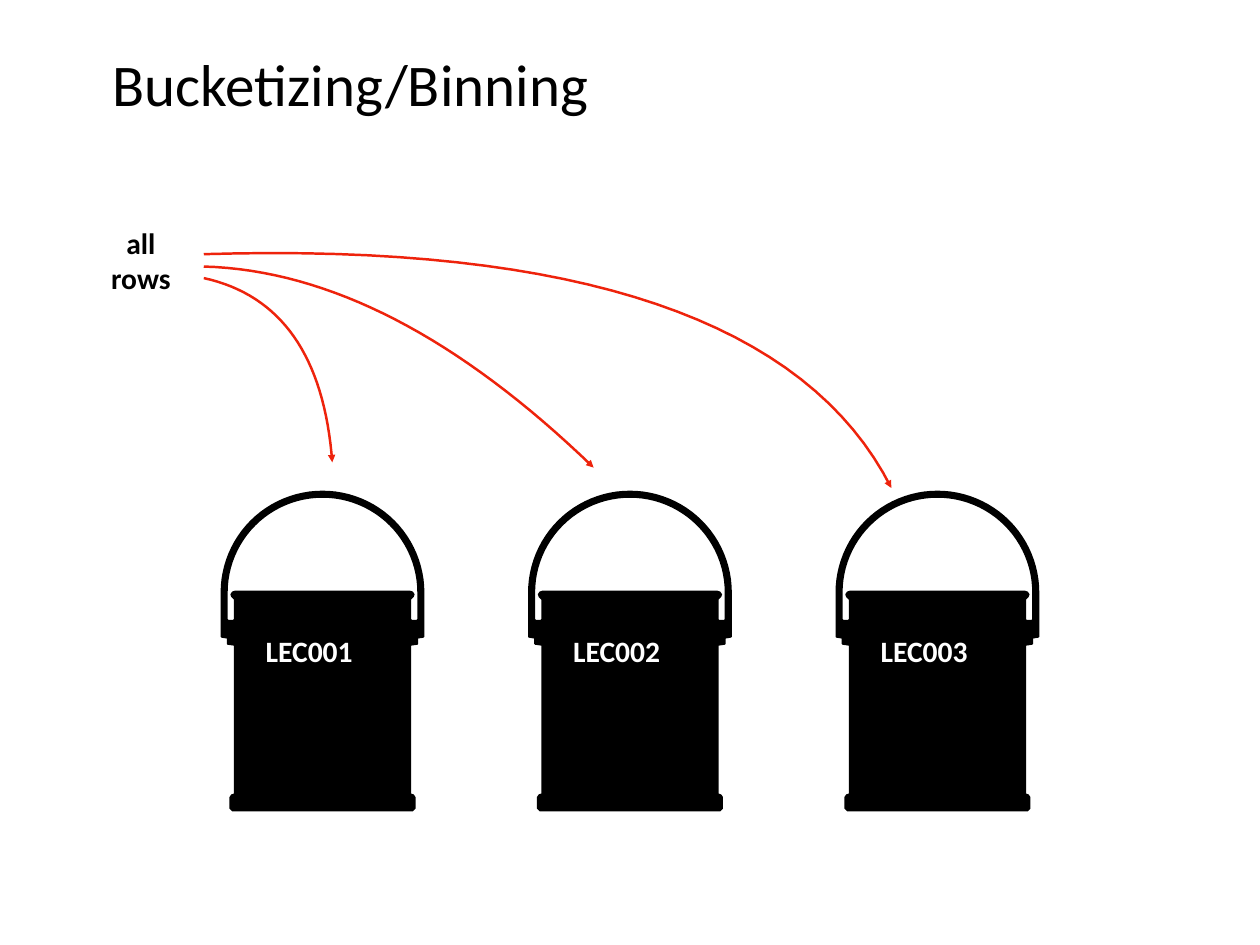
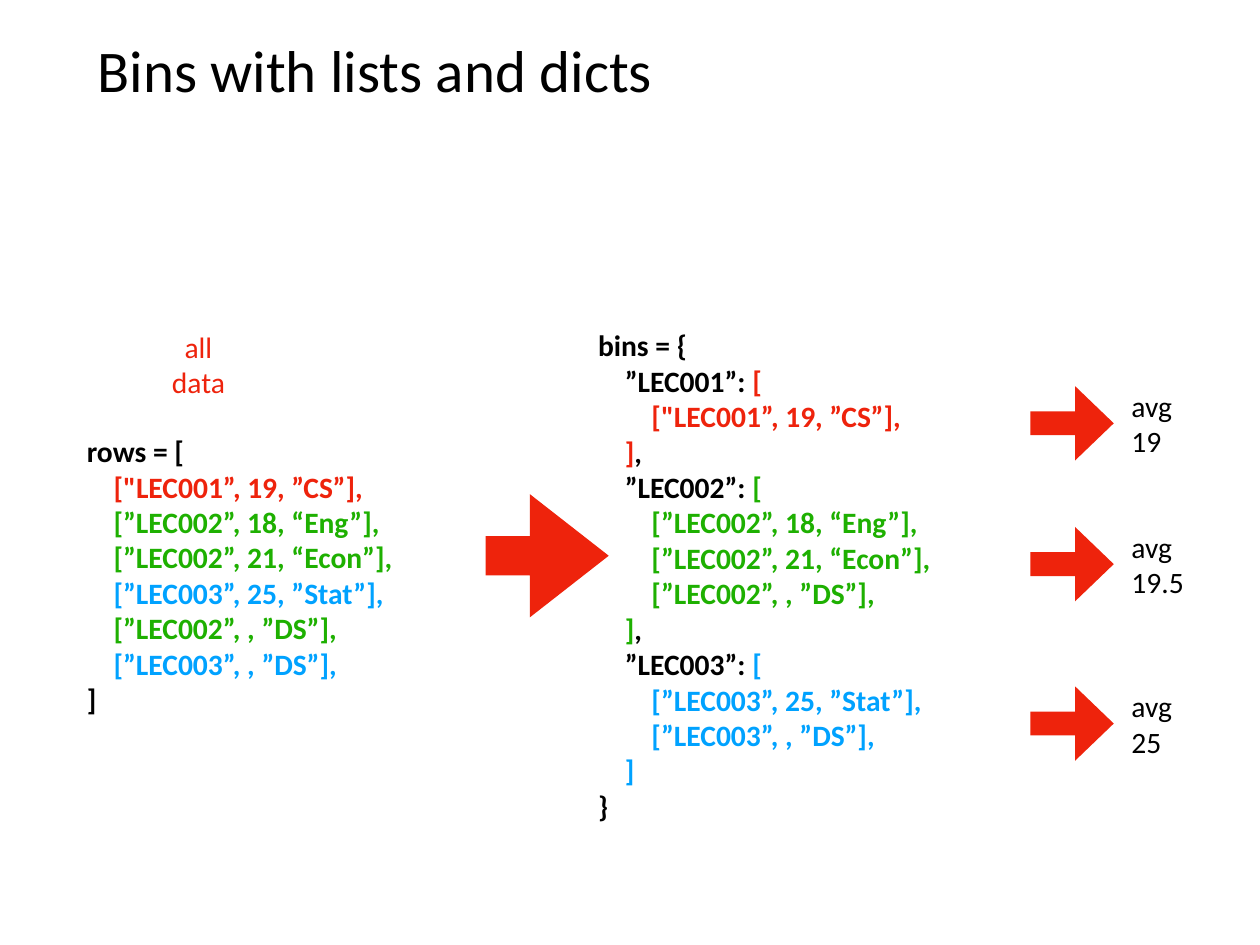
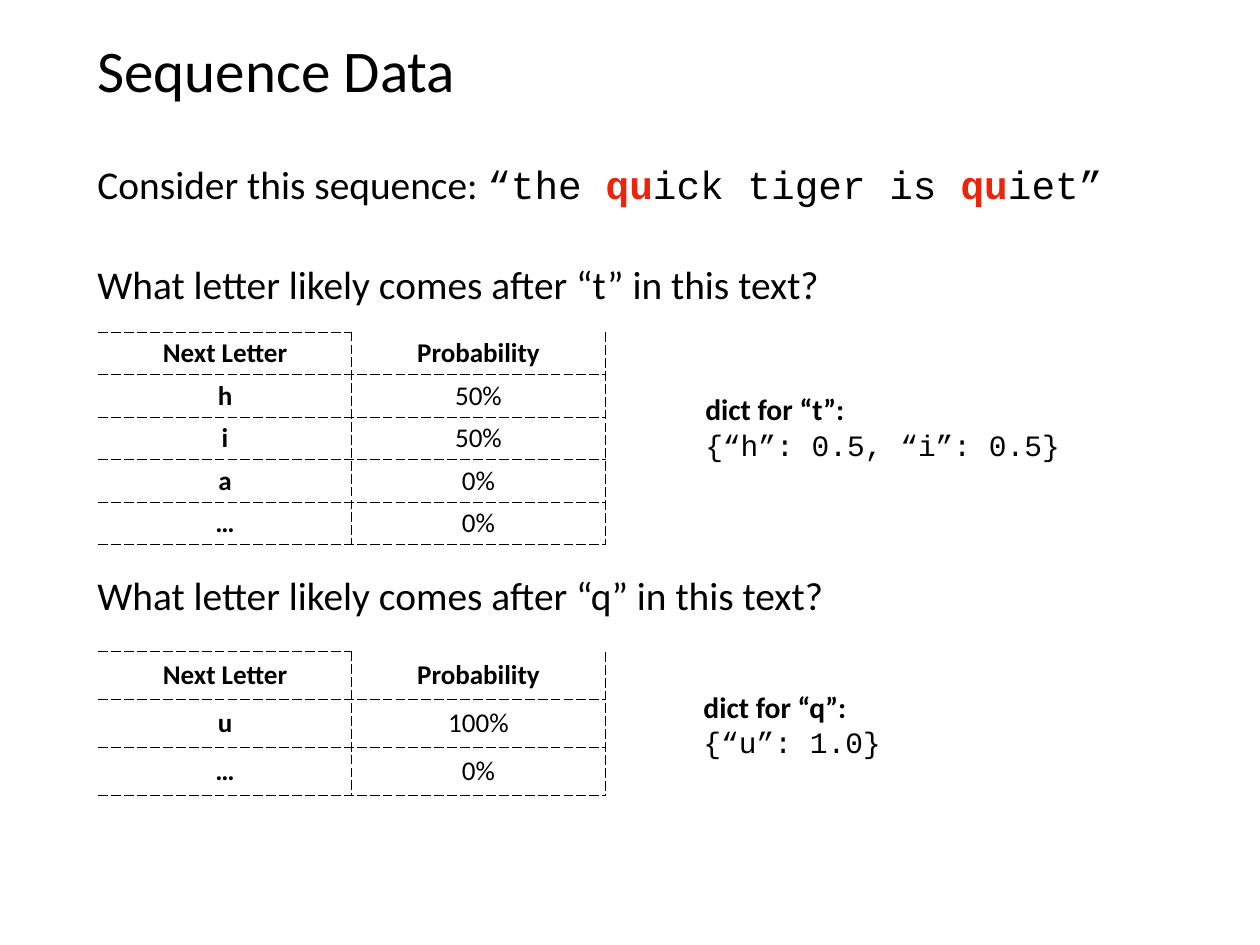
from dataclasses import dataclass
from math import cos, pi, sin
from typing import NamedTuple

from lxml import etree
from pptx import Presentation
from pptx.dml.color import RGBColor
from pptx.enum import shapes, text
from pptx.oxml import ns
from pptx.util import Inches, Pt

# Shared look
BLACK = RGBColor(0x00, 0x00, 0x00)
WHITE = RGBColor(0xFF, 0xFF, 0xFF)
RED = RGBColor(0xEE, 0x23, 0x0C)
GREEN = RGBColor(0x1E, 0xB0, 0x01)
BLUE = RGBColor(0x00, 0xA2, 0xFF)
SANS, MONO = "Calibri", "Courier New"
PAD = Inches(0.06)
LEFT, CENTER = text.PP_ALIGN.LEFT, text.PP_ALIGN.CENTER

Point = tuple[float, float]


class Box(NamedTuple):
    left: float
    top: float
    width: float
    height: float

    def emu(self) -> list:
        return [Inches(side) for side in self]


class Run(NamedTuple):
    words: str
    color: RGBColor = BLACK
    bold: bool = False
    face: str = SANS


@dataclass
class Curve:
    start: Point
    pull: Point
    push: Point
    end: Point


@dataclass
class Quiz:
    letter: str
    top: float
    grid: float
    row: float
    odds: list[tuple[str, str]]
    note: Box
    code: str


# Text
def style(font, run: Run) -> None:
    font.name, font.bold = run.face, run.bold
    font.color.rgb = run.color


def write(frame, lines: list[list[Run]], size: int, align=LEFT) -> None:
    for i, runs in enumerate(lines):
        para = frame.paragraphs[0] if i == 0 else frame.add_paragraph()
        para.alignment = align
        para.font.size = Pt(size)
        same = len({run[1:] for run in runs}) == 1
        if same:
            style(para.font, runs[0])
        for run in runs:
            part = para.add_run()
            part.text = run.words
            if not same:
                style(part.font, run)


def label(slide, box: Box, lines: list[list[Run]], size: int = 24, align=LEFT) -> None:
    frame = slide.shapes.add_textbox(*box.emu()).text_frame
    frame.word_wrap = True
    frame.vertical_anchor = text.MSO_ANCHOR.MIDDLE
    frame.margin_left = frame.margin_right = PAD
    frame.margin_top = frame.margin_bottom = PAD
    write(frame, lines, size, align)


def page(deck, title: str, left: float = 1.04, top: float = 0.28):
    slide = deck.slides.add_slide(deck.slide_layouts[6])
    label(slide, Box(left, top, 12.14, 0.99), [[Run(title)]], 48)
    return slide


# Shapes
def paint(shape, color: RGBColor) -> None:
    shape.shadow.inherit = False
    shape.fill.solid()
    shape.fill.fore_color.rgb = color
    shape.line.fill.background()


def arrow(slide, box: Box, neck: float, head: float) -> None:
    shape = slide.shapes.add_shape(shapes.MSO_SHAPE.RIGHT_ARROW, *box.emu())
    shape.adjustments[0], shape.adjustments[1] = neck, head
    paint(shape, RED)


def trace(slide, paths: list[list[Point]], close: bool):
    spots = [[(Inches(x), Inches(y)) for x, y in path] for path in paths]
    pen = slide.shapes.build_freeform(*spots[0][0], scale=1.0)
    for i, path in enumerate(spots):
        if i:
            pen.move_to(*path[0])
        pen.add_line_segments(path[1:], close=close)
    return pen.convert_to_shape()


def bucket(slide, mid: float) -> None:
    def ring(size: float, side: list[Point]) -> list[Point]:
        turns = [pi / 2 * i / 24 for i in range(25)]
        half = [(size * sin(t), 6.69 - size * cos(t)) for t in turns] + side
        mirror = [(mid - x, y) for x, y in reversed(half[1:])]
        return [(mid + x, y) for x, y in half] + mirror

    outer = ring(1.15, [(1.15, 7.19), (1.14, 7.2), (1.08, 7.21), (1.08, 7.27),
                        (1.07, 7.28), (1, 7.29), (1, 8.96), (1.03, 8.97),
                        (1.05, 9), (1.05, 9.13), (1.02, 9.16)])
    inner = ring(1.07, [(1.07, 6.99), (1.06, 7), (1.01, 7), (1, 6.99), (1, 6.77),
                        (1.03, 6.74), (1.04, 6.71), (1.02, 6.68), (0.99, 6.67)])
    paint(trace(slide, [outer, inner], True), BLACK)


def sweep(slide, curve: Curve) -> None:
    ends = (curve.start, curve.pull, curve.push, curve.end)
    dots = []
    for i in range(33):
        t = i / 32
        mix = ((1 - t) ** 3, 3 * t * (1 - t) ** 2, 3 * t * t * (1 - t), t ** 3)
        dots.append(tuple(sum(m * p[k] for m, p in zip(mix, ends)) for k in (0, 1)))
    shape = trace(slide, [dots], False)
    shape.shadow.inherit = False
    shape.fill.background()
    shape.line.color.rgb = RED
    shape.line.width = Pt(2)
    line = shape._element.spPr.find(ns.qn("a:ln"))
    etree.SubElement(line, ns.qn("a:tailEnd"), type="triangle")


# Tables
def edge(cell, side: str, shown: bool) -> None:
    line = etree.SubElement(cell._tc.get_or_add_tcPr(), ns.qn("a:ln" + side), w=str(Pt(1)))
    if shown:
        fill = etree.SubElement(line, ns.qn("a:solidFill"))
        etree.SubElement(fill, ns.qn("a:srgbClr"), val=str(BLACK))
        etree.SubElement(line, ns.qn("a:prstDash"), val="lgDash")
    else:
        etree.SubElement(line, ns.qn("a:noFill"))


def chances(slide, quiz: Quiz) -> None:
    rows = [("Next Letter", "Probability")] + quiz.odds
    box = Box(1.11, quiz.grid, 5.72, quiz.row * len(rows))
    table = slide.shapes.add_table(len(rows), 2, *box.emu()).table
    table.first_row = table.horz_banding = False
    for r, row in enumerate(rows):
        table.rows[r].height = Inches(quiz.row)
        for c, words in enumerate(row):
            cell = table.cell(r, c)
            cell.vertical_anchor = text.MSO_ANCHOR.MIDDLE
            sides = {"L": c > 0, "R": True, "T": r > 0 or c == 0, "B": True}
            for side, shown in sides.items():
                edge(cell, side, shown)
            cell.fill.background()
            write(cell.text_frame, [[Run(words, bold=r == 0 or c == 0)]], 22, CENTER)


# Slide 1: buckets
def binning(deck) -> None:
    slide = page(deck, "Bucketizing/Binning", 1.21, 0.44)
    for i in range(3):
        mid = 3.64 + 3.47 * i
        bucket(slide, mid)
        name = Run(f"LEC00{i + 1}", WHITE, True)
        label(slide, Box(mid - 0.9, 7.09, 1.5, 0.52), [[name]], align=CENTER)
    lines = [[Run(word, bold=True)] for word in ("all", "rows")]
    label(slide, Box(1.09, 2.49, 1, 0.89), lines, align=CENTER)
    for curve in (
        Curve((2.3, 3.14), (3.17, 3.33), (3.66, 4.02), (3.75, 5.22)),
        Curve((2.3, 3.01), (3.72, 3.05), (5.18, 3.81), (6.7, 5.28)),
        Curve((2.3, 2.87), (6.52, 2.74), (9.11, 3.62), (10.06, 5.51)),
    ):
        sweep(slide, curve)


# Slide 2: rows sorted into a dict of lists
HUES = {"LEC001": RED, "LEC002": GREEN, "LEC003": BLUE}
ROWS = [
    ("LEC001", '["LEC001”, 19, ”CS”],'),
    ("LEC002", "[”LEC002”, 18, “Eng”],"),
    ("LEC002", "[”LEC002”, 21, “Econ”],"),
    ("LEC003", "[”LEC003”, 25, ”Stat”],"),
    ("LEC002", "[”LEC002”, , ”DS”],"),
    ("LEC003", "[”LEC003”, , ”DS”],"),
]
TAB = "    "


def listing(key: str, depth: int) -> list[list[Run]]:
    return [[Run(TAB * depth + row, HUES[name], True)]
            for name, row in ROWS if key in name]


def dicts(deck) -> None:
    slide = page(deck, "Bins with lists and dicts")
    lines = [[Run(word, RED)] for word in ("all", "data")]
    label(slide, Box(1.74, 3.66, 1, 0.9), lines, align=CENTER)
    code = [[Run("rows = [", bold=True)], *listing("", 1), [Run("]", bold=True)]]
    label(slide, Box(0.92, 4.82, 4.5, 3.34), code)
    arrow(slide, Box(5.48, 5.58, 1.39, 1.39), 0.32, 0.64)

    bins = [[Run("bins = {", bold=True)]]
    for key, hue in HUES.items():
        bins.append([Run(f"{TAB}”{key}”: ", bold=True), Run("[", hue, True)])
        bins += listing(key, 2)
        bins.append([Run(TAB + "]", hue, True)])
        if key != "LEC003":
            bins[-1].append(Run(",", bold=True))
    bins.append([Run("}", bold=True)])
    label(slide, Box(6.69, 3.61, 4.9, 5.77), bins)

    for top, mean in ((4.36, "19"), (5.95, "19.5"), (7.75, "25")):
        arrow(slide, Box(11.63, top, 0.94, 0.84), 0.32, 0.52)
        label(slide, Box(12.71, top, 1.22, 0.84), [[Run("avg")], [Run(mean)]])


# Slide 3: next-letter odds
def letters(deck) -> None:
    slide = page(deck, "Sequence Data")
    pair, plain = Run("qu", RED, True, MONO), Run("", face=MONO)
    label(slide, Box(1.04, 1.74, 12.62, 0.66), [[
        Run("Consider this sequence: "), plain._replace(words="“the "), pair,
        plain._replace(words="ick tiger is "), pair, plain._replace(words="iet”"),
    ]], 32)
    for quiz in (
        Quiz("t", 2.87, 3.75, 0.48, [("h", "50%"), ("i", "50%"), ("a", "0%"), ("…", "0%")],
             Box(7.9, 4.37, 5, 0.9), "{“h”: 0.5, “i”: 0.5}"),
        Quiz("q", 6.39, 7.36, 0.54, [("u", "100%"), ("…", "0%")],
             Box(7.88, 7.73, 5, 0.9), "{“u”: 1.0}"),
    ):
        ask = f"What letter likely comes after “{quiz.letter}” in this text?"
        label(slide, Box(1.04, quiz.top, 12.62, 0.66), [[Run(ask)]], 32)
        chances(slide, quiz)
        head = Run(f"dict for “{quiz.letter}”:", bold=True)
        label(slide, quiz.note, [[head], [Run(quiz.code, face=MONO)]])


def main() -> None:
    deck = Presentation()
    deck.slide_width, deck.slide_height = Inches(14.22), Inches(10.67)
    binning(deck)
    dicts(deck)
    letters(deck)
    deck.save("out.pptx")


if __name__ == "__main__":
    main()
